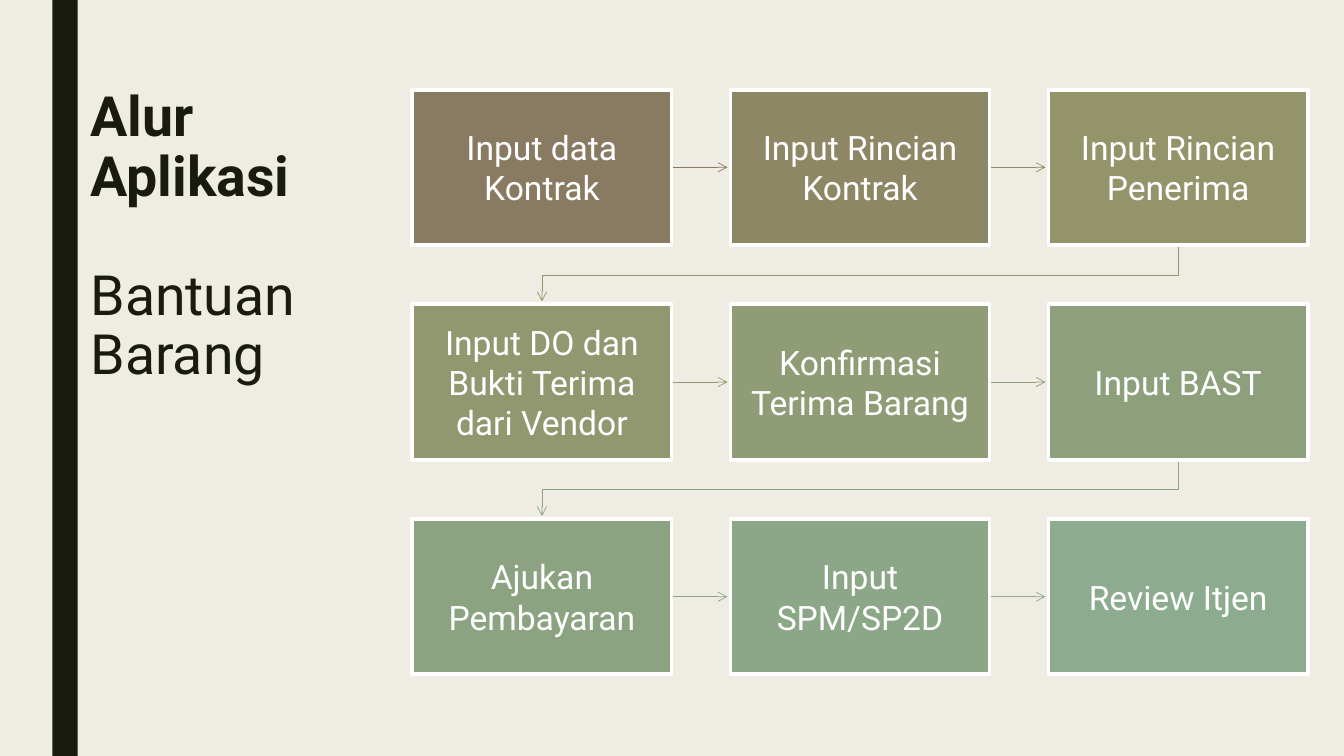
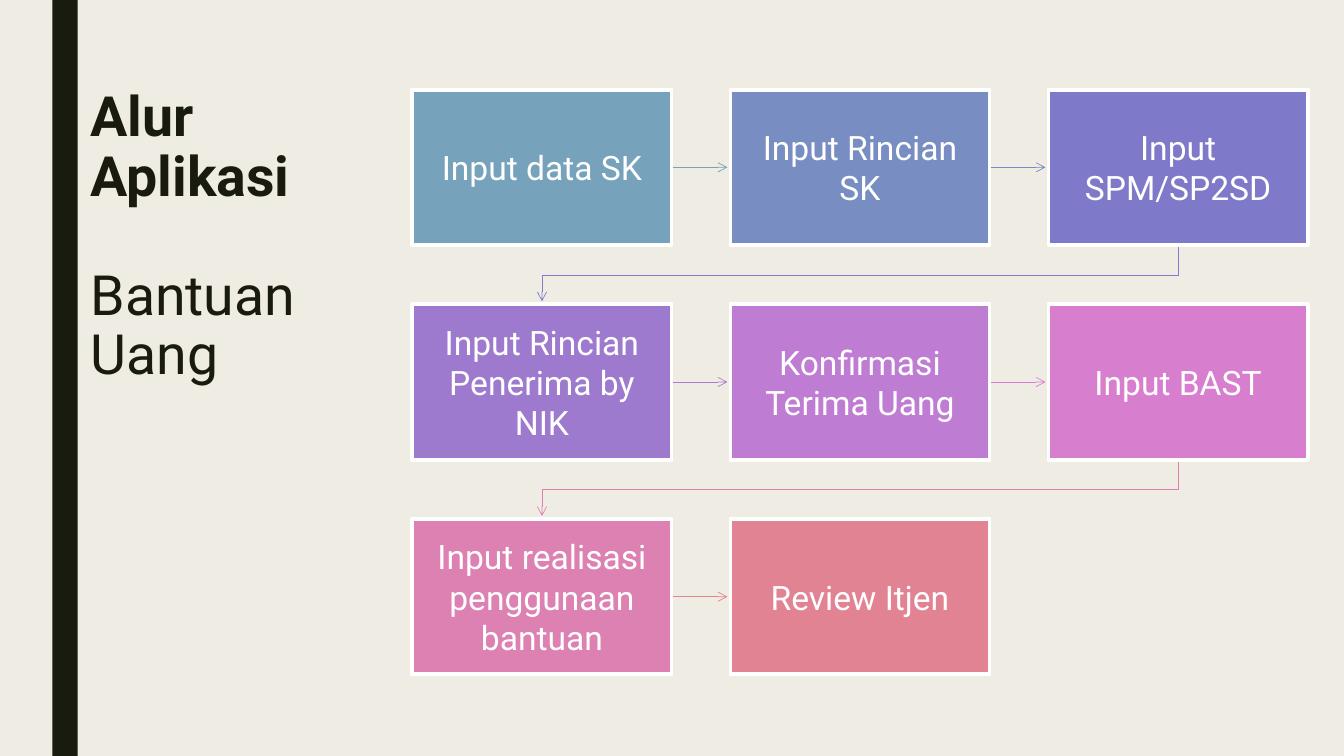
"""Build two slides that show the application flow for goods aid and cash aid."""
import pptx
import pptx.dml.color
import pptx.enum.shapes
import pptx.enum.text
import pptx.oxml.ns
import pptx.util
from lxml import etree

Inches = pptx.util.Inches
Pt = pptx.util.Pt
RGBColor = pptx.dml.color.RGBColor

BACKGROUND = RGBColor(0xEF, 0xED, 0xE3)
DARK = RGBColor(0x19, 0x1B, 0x0E)
WHITE = RGBColor(0xFF, 0xFF, 0xFF)
FONT = "Roboto"

HEADING = "Alur Aplikasi"
FLOWS = [
    ("Bantuan Barang", [
        ("Input data Kontrak", "897B61", "897B61"),
        ("Input Rincian Kontrak", "8E8765", "8F8966"),
        ("Input Rincian Penerima", "94946A", "93956B"),
        ("Input DO dan Bukti Terima dari Vendor", "91986F", "909972"),
        ("Konfirmasi Terima Barang", "8F9C75", "8D9E79"),
        ("Input BAST", "8D9F7B", "8CA280"),
        ("Ajukan Pembayaran", "8CA381", "8CA786"),
        ("Input SPM/SP2D", "8CA787", "8DAB8E"),
        ("Review Itjen", "8DAB8E", None),
    ]),
    ("Bantuan Uang", [
        ("Input data SK", "77A2BB", "77A2BB"),
        ("Input Rincian SK", "788DC1", "7889C3"),
        ("Input SPM/SP2SD", "7E79C8", "8879CA"),
        ("Input Rincian Penerima by NIK", "9D7ACE", "AE7BD0"),
        ("Konfirmasi Terima Uang", "BF7CD3", "D77DD6"),
        ("Input BAST", "D87ECE", "DD80B6"),
        ("Input realisasi penggunaan bantuan", "DD80B2", "E28394"),
        ("Review Itjen", "E28394", None),
    ]),
]

COLUMNS = 3
GRID_LEFT, GRID_TOP = Inches(4.09), Inches(0.89)
BOX_WIDTH, BOX_HEIGHT = Inches(2.57), Inches(1.54)
STEP_X, STEP_Y = Inches(3.155), Inches(2.13)
ARROW_GAP = Inches(0.03)
ELBOW_DROP = Inches(0.3)
BOX_INSET = Inches(0.19)


def format_runs(paragraph, size, color, bold=False):
    for run in paragraph.runs:
        run.font.name = FONT
        run.font.size = Pt(size)
        run.font.color.rgb = color
        run.font.bold = bold


def add_rectangle(slide, left, top, width, height, fill):
    shape = slide.shapes.add_shape(
        pptx.enum.shapes.MSO_SHAPE.RECTANGLE, left, top, width, height)
    shape.shadow.inherit = False
    shape.fill.solid()
    shape.fill.fore_color.rgb = fill
    shape.line.fill.background()
    return shape


def add_title(slide, subject):
    box = slide.shapes.add_textbox(
        Inches(0.8), Inches(0.83), Inches(3.14), Inches(2.81))
    frame = box.text_frame
    frame.word_wrap = True
    frame.text = f"{HEADING}\n{subject}"
    heading, subheading = frame.paragraphs
    for paragraph in (heading, subheading):
        paragraph.line_spacing = 0.9
        format_runs(paragraph, 39.6, DARK, bold=paragraph is heading)
    subheading.space_before = Pt(42)


def add_step(slide, text, fill, left, top):
    box = add_rectangle(slide, left, top, BOX_WIDTH, BOX_HEIGHT, fill)
    box.line.color.rgb = WHITE
    box.line.width = Pt(2.75)
    frame = box.text_frame
    frame.word_wrap = True
    frame.vertical_anchor = pptx.enum.text.MSO_ANCHOR.MIDDLE
    frame.margin_left = frame.margin_right = BOX_INSET
    frame.margin_top = frame.margin_bottom = BOX_INSET
    frame.text = text
    paragraph = frame.paragraphs[0]
    paragraph.alignment = pptx.enum.text.PP_ALIGN.CENTER
    format_runs(paragraph, 24, WHITE)


def add_arrow(slide, points, color):
    if len(points) == 2:
        arrow = slide.shapes.add_connector(
            pptx.enum.shapes.MSO_CONNECTOR.STRAIGHT, *points[0], *points[1])
        etree.SubElement(
            arrow._element.spPr, pptx.oxml.ns.qn("a:effectLst"))
    else:
        builder = slide.shapes.build_freeform(*points[0])
        builder.add_line_segments(points[1:], close=False)
        arrow = builder.convert_to_shape()
        arrow.shadow.inherit = False
        arrow.fill.background()
    arrow.line.color.rgb = color
    arrow.line.width = Pt(0.5)
    etree.SubElement(arrow.line._get_or_add_ln(),
                     pptx.oxml.ns.qn("a:tailEnd"), type="arrow")


def position(index):
    row, column = divmod(index, COLUMNS)
    return GRID_LEFT + int(column * STEP_X), GRID_TOP + row * STEP_Y


def arrow_points(index):
    left, top = position(index)
    next_left, next_top = position(index + 1)
    if next_top == top:
        middle = top + BOX_HEIGHT // 2
        return [(left + BOX_WIDTH, middle), (next_left - ARROW_GAP, middle)]
    start_x, end_x = left + BOX_WIDTH // 2, next_left + BOX_WIDTH // 2
    bottom = top + BOX_HEIGHT
    bend = bottom + ELBOW_DROP
    return [(start_x, bottom), (start_x, bend),
            (end_x, bend), (end_x, next_top - ARROW_GAP)]


def add_flow_slide(presentation, subject, steps):
    slide = presentation.slides.add_slide(presentation.slide_layouts[6])
    add_rectangle(slide, Inches(0.52), 0, Inches(0.25),
                  presentation.slide_height, DARK)
    add_title(slide, subject)
    for index, (text, fill, arrow_color) in enumerate(steps):
        if arrow_color:
            add_arrow(slide, arrow_points(index),
                      RGBColor.from_string(arrow_color))
        add_step(slide, text, RGBColor.from_string(fill), *position(index))


def main():
    presentation = pptx.Presentation()
    presentation.slide_width = Inches(13.33)
    presentation.slide_height = Inches(7.5)
    background = presentation.slide_master.background.fill
    background.solid()
    background.fore_color.rgb = BACKGROUND
    for subject, steps in FLOWS:
        add_flow_slide(presentation, subject, steps)
    presentation.save("out.pptx")


if __name__ == "__main__":
    main()
